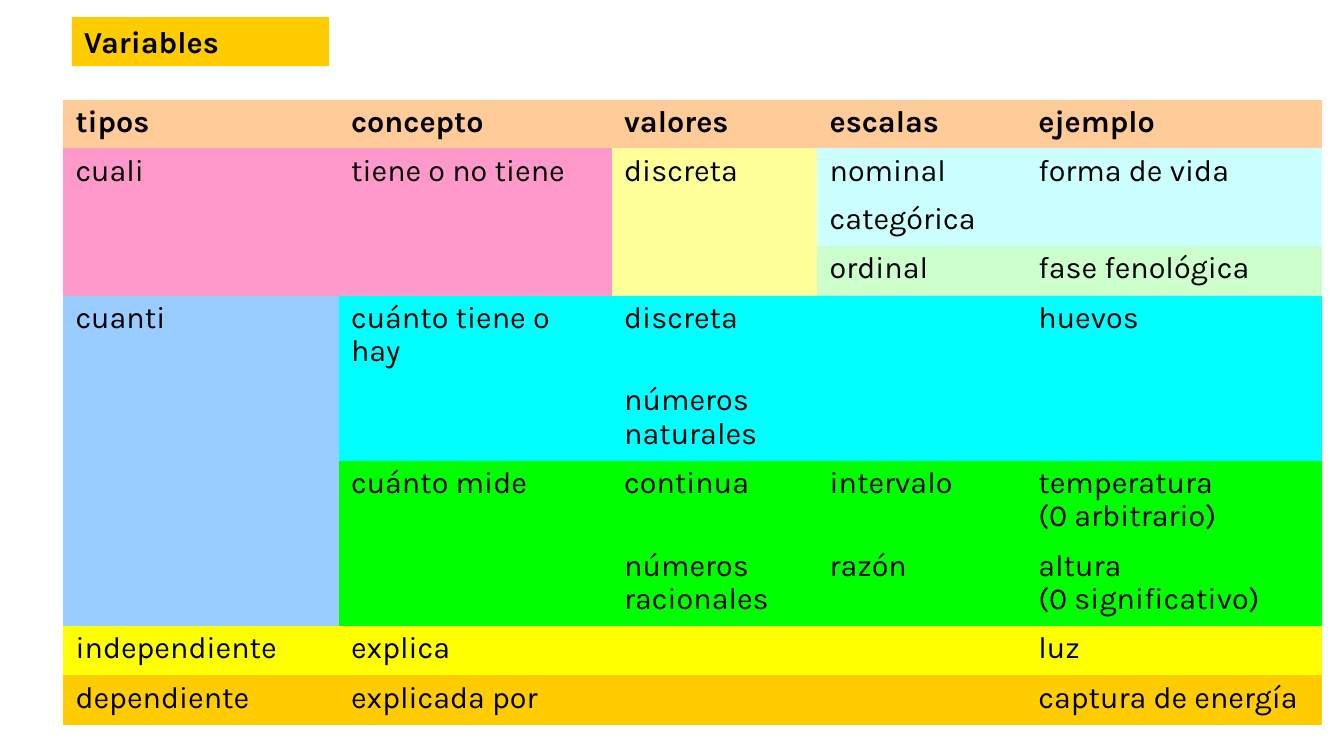
"""Build a slide with a table of variable types."""
from pptx import Presentation
from pptx.dml.color import RGBColor
from pptx.enum.shapes import MSO_SHAPE
from pptx.enum.text import MSO_ANCHOR, PP_ALIGN
from pptx.util import Cm, Pt

COLORS = {
    "text": "000000", "header": "FFCC99", "pink": "FF99CC",
    "cream": "FFFF99", "ice": "CCFFFF", "mint": "CCFFCC",
    "sky": "99CCFF", "cyan": "00FFFF", "green": "00FF00",
    "yellow": "FFFF00", "gold": "FFCC00",
}
NO_GRID_STYLE = "{2D5ABB26-0587-4C30-8999-92F81FD0307C}"
COLUMN_WIDTHS = [5.74, 5.69, 4.28, 4.35, 6.17]
LOW, HIGH = 1.01, 1.72

QUALITATIVE = ["pink", "pink", "cream"]
DISCRETE = ["sky"] + ["cyan"] * 4
CONTINUOUS = ["sky"] + ["green"] * 4
ROWS = [
    (LOW, ["header"] * 5, ["tipos", "concepto", "valores", "escalas", "ejemplo"]),
    (LOW, QUALITATIVE + ["ice"] * 2,
     ["cuali", "tiene o no tiene", "discreta", "nominal", "forma de vida"]),
    (LOW, QUALITATIVE + ["ice"] * 2, ["", "", "", "categórica", ""]),
    (LOW, QUALITATIVE + ["mint"] * 2, ["", "", "", "ordinal", "fase fenológica"]),
    (HIGH, DISCRETE, ["cuanti", "cuánto tiene o hay", "discreta", "", "huevos"]),
    (HIGH, DISCRETE, ["", "", "números naturales", "", ""]),
    (HIGH, CONTINUOUS,
     ["", "cuánto mide", "continua", "intervalo", "temperatura\n(0 arbitrario)"]),
    (HIGH, CONTINUOUS,
     ["", "", "números racionales", "razón", "altura\n(0 significativo)"]),
    (LOW, ["yellow"] * 5, ["independiente", "explica", "", "", "luz"]),
    (LOW, ["gold"] * 5,
     ["dependiente", "explicada por", "", "", "captura de energía"]),
]


def color(name):
    return RGBColor.from_string(COLORS[name])


def paint(fill, name):
    fill.solid()
    fill.fore_color.rgb = color(name)


def write(frame, text, font="Karla", size=18, bold=False, spacing=1.0):
    frame.word_wrap = True
    frame.text = text
    for paragraph in frame.paragraphs:
        paragraph.alignment = PP_ALIGN.LEFT
        paragraph.line_spacing = spacing
        for run in paragraph.runs:
            run.font.name = font
            run.font.size = Pt(size)
            run.font.bold = bold
            run.font.color.rgb = color("text")


class Board:
    def __init__(self, slide, spacing=0.93):
        self.slide = slide
        self.spacing = spacing

    def heading(self, text, left, top, width, height, fill):
        label = self.slide.shapes.add_shape(
            MSO_SHAPE.RECTANGLE, Cm(left), Cm(top), Cm(width), Cm(height))
        label.shadow.inherit = False
        label.line.fill.background()
        paint(label.fill, fill)
        label.text_frame.vertical_anchor = MSO_ANCHOR.TOP
        write(label.text_frame, text, bold=True)

    def table(self, rows, widths, left, top):
        height = sum(row[0] for row in rows)
        grid = self.slide.shapes.add_table(
            len(rows), len(widths), Cm(left), Cm(top),
            Cm(sum(widths)), Cm(height)).table
        grid.first_row = True
        grid.horz_banding = False
        grid._tbl.tblPr[0].text = NO_GRID_STYLE
        for column, width in zip(grid.columns, widths):
            column.width = Cm(width)
        for index, (row_height, fills, texts) in enumerate(rows):
            grid.rows[index].height = Cm(row_height)
            for cell, fill, text in zip(grid.rows[index].cells, fills, texts):
                paint(cell.fill, fill)
                write(cell.text_frame, text, bold=index == 0, spacing=self.spacing)


def main():
    deck = Presentation()
    deck.slide_width, deck.slide_height = Cm(28), Cm(15.75)
    board = Board(deck.slides.add_slide(deck.slide_layouts[6]))
    board.table(ROWS, COLUMN_WIDTHS, left=1.32, top=2.08)
    board.heading("Variables", 1.5, 0.36, 5.36, 1.02, fill="gold")
    deck.save("out.pptx")


if __name__ == "__main__":
    main()
